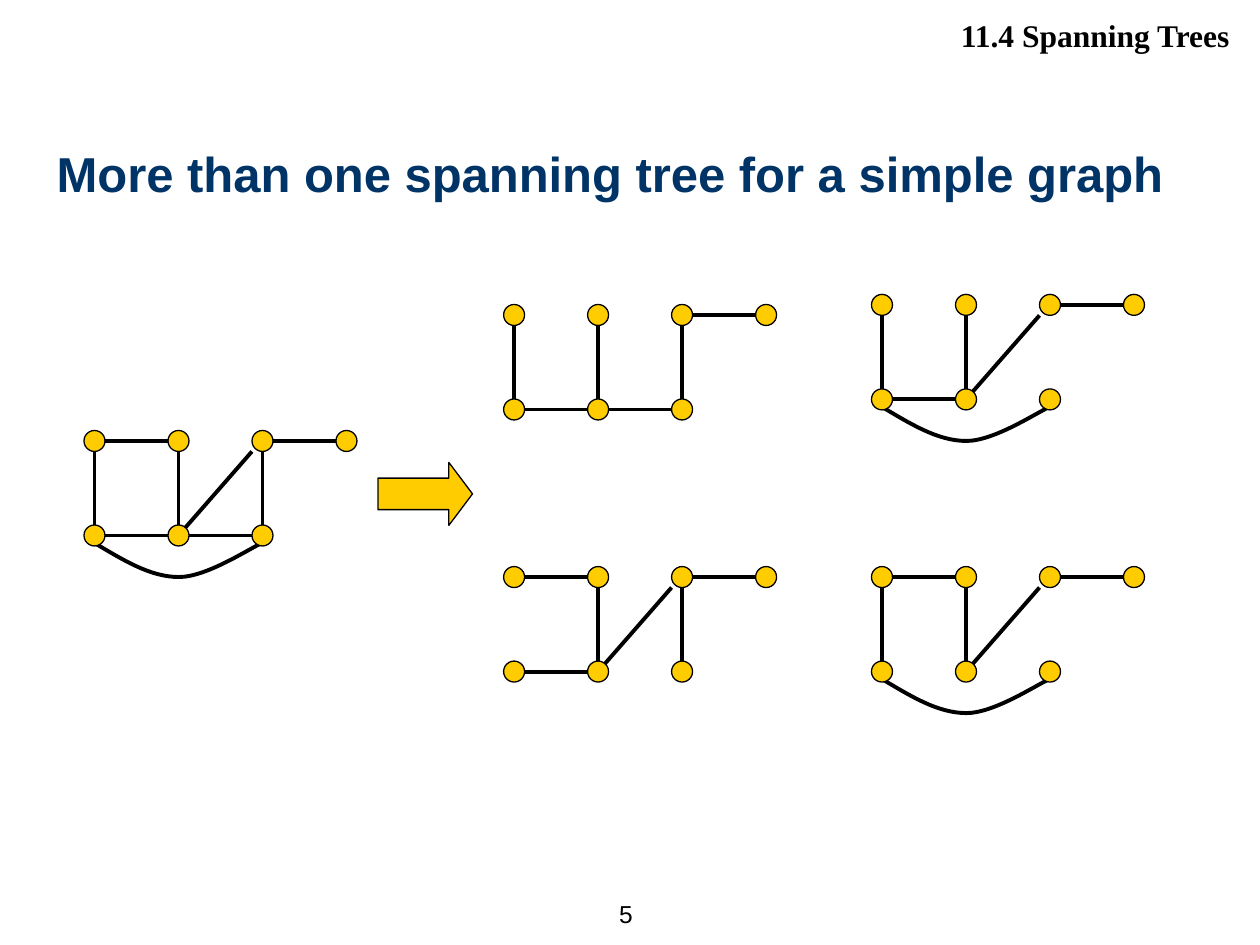
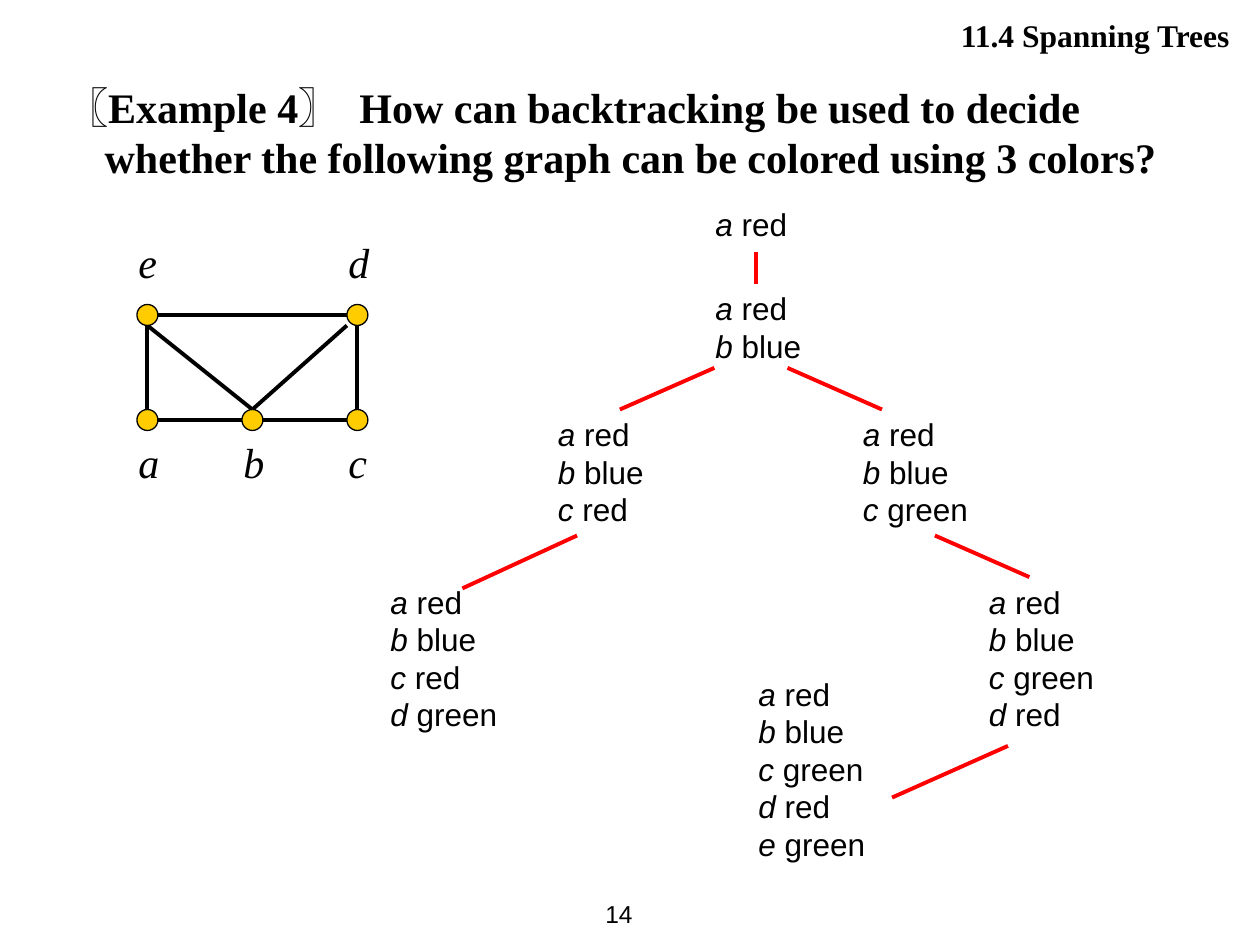
from dataclasses import dataclass

from lxml import etree
from pptx import Presentation
from pptx.dml.color import RGBColor
from pptx.enum.shapes import MSO_CONNECTOR, MSO_SHAPE
from pptx.enum.text import MSO_ANCHOR, MSO_AUTO_SIZE, PP_ALIGN
from pptx.oxml.ns import qn
from pptx.util import Inches, Pt

STRAIGHT = MSO_CONNECTOR.STRAIGHT
ELLIPSE, RIGHT_ARROW = MSO_SHAPE.OVAL, MSO_SHAPE.RIGHT_ARROW
TOP, MIDDLE = MSO_ANCHOR.TOP, MSO_ANCHOR.MIDDLE
LEFT, RIGHT = PP_ALIGN.LEFT, PP_ALIGN.RIGHT
NO_AUTOSIZE = MSO_AUTO_SIZE.NONE


@dataclass(frozen=True)
class Theme:
    black: RGBColor = RGBColor(0, 0, 0)
    navy: RGBColor = RGBColor(0x00, 0x33, 0x66)
    gold: RGBColor = RGBColor(0xFF, 0xCC, 0x00)
    red: RGBColor = RGBColor(0xFF, 0, 0)
    sans: str = "Arial"
    serif: str = "Times New Roman"
    title_size: int = 28
    question_size: int = 24
    label_size: int = 24
    header_size: int = 18
    state_size: int = 18
    number_size: int = 14
    line_height: float = 1.19
    edge_width: float = 2.25
    outline_width: float = 0.75


theme = Theme()


def write_text(shape, paragraphs, font, size, color=theme.black, align=LEFT, anchor=TOP):
    """Fill a shape with paragraphs, each a list of (text, bold, italic) runs."""
    frame = shape.text_frame
    frame.word_wrap = True
    frame.auto_size = NO_AUTOSIZE
    frame.vertical_anchor = anchor
    for index, runs in enumerate(paragraphs):
        paragraph = frame.add_paragraph() if index else frame.paragraphs[0]
        paragraph.alignment = align
        paragraph.line_spacing = Pt(size * theme.line_height)
        paragraph.space_before = Pt(0)
        for text, bold, italic in runs:
            run = paragraph.add_run()
            run.text = text
            run.font.name = font
            run.font.size = Pt(size)
            run.font.bold = bold
            run.font.italic = italic
            run.font.color.rgb = color


def add_line(shapes, start, end, color):
    line = shapes.add_connector(STRAIGHT, *map(Inches, (*start, *end)))
    line.line.color.rgb = color
    line.line.width = Pt(theme.edge_width)
    etree.SubElement(line.element.spPr, qn("a:effectLst"))


presentation = Presentation()
presentation.slide_width, presentation.slide_height = Inches(10), Inches(7.5)
trees_slide = presentation.slides.add_slide(presentation.slide_layouts[5])
coloring_slide = presentation.slides.add_slide(presentation.slide_layouts[1])

# Header and slide number
for slide, number in ((trees_slide, "5"), (coloring_slide, "14")):
    header = slide.shapes.add_textbox(Inches(3.98), Inches(0.08), Inches(5.94), Inches(0.4))
    write_text(header, [[(" 11.4 Spanning Trees ", True, False)]],
               theme.serif, theme.header_size, align=RIGHT)
    footer = slide.shapes.add_textbox(Inches(4.45), Inches(7), Inches(0.67), Inches(0.5))
    write_text(footer, [[(number, False, False)]],
               theme.sans, theme.number_size, align=RIGHT, anchor=MIDDLE)

# Title of the first slide, question of the second
title = trees_slide.shapes.title
title.left, title.top, title.width, title.height = map(Inches, (0.35, 1.07, 9.29, 0.87))
write_text(title, [[("More than one spanning tree for a simple graph", True, False)]],
           theme.sans, theme.title_size, theme.navy)
title.text_frame.margin_top = Inches(0.07)

unused_title = coloring_slide.shapes.title.element
unused_title.getparent().remove(unused_title)
question = coloring_slide.placeholders[1]
question.left, question.top, question.width, question.height = map(Inches, (0.35, 0.6, 9.15, 0.79))
write_text(question, [[
    (" ", False, False),
    ("〖Example 4〗  How can backtracking be used to decide whether the following "
     "graph can be colored using 3 colors?", True, False),
]], theme.serif, theme.question_size)
properties = question.text_frame.paragraphs[0]._p.get_or_add_pPr()
properties.set("marL", str(Inches(0.38)))
properties.set("indent", str(Inches(-0.38)))
etree.SubElement(properties, qn("a:buNone"))

arrow = trees_slide.shapes.add_shape(RIGHT_ARROW, Inches(3), Inches(3.67), Inches(0.75), Inches(0.5))
arrow.adjustments[0], arrow.adjustments[1] = 0.5, 0.375

# Graphs: nodes are (column, row); a diagonal gives its offsets from both node centres in radii
RADIUS = 1 / 12
SIX_NODES = {"A": (0, 0), "B": (1, 0), "C": (2, 0), "D": (3, 0),
             "E": (0, 1), "F": (1, 1), "G": (2, 1)}
FIVE_NODES = {"e": (0, 0), "d": (2, 0), "a": (0, 1), "b": (1, 1), "c": (2, 1)}
SIX_PITCH, FIVE_PITCH = (2 / 3, 3 / 4), (5 / 6, 5 / 6)
FC = [("F", (0, 0), "C", (-1, 1))]
FIVE_DIAGONALS = [("e", (0, 1), "b", (0, -1)), ("b", (0, -1), "d", (-1, 1))]
# Bezier points of the arc from E to G, measured from the centre of E
ARC = [(0, 0.06), (0.22, 0.19), (0.44, 0.33), (0.67, 0.33), (0.89, 0.33),
       (1.22, 0.11), (1.33, 0.06), (1.44, 0), (1.39, 0), (1.33, 0)]

graphs = [
    (trees_slide, (0.75, 3.5), SIX_PITCH, SIX_NODES, "AB CD AE EF FG BF CG", FC, True),
    (trees_slide, (4.08, 2.5), SIX_PITCH, SIX_NODES, "CD AE EF FG BF CG", [], False),
    (trees_slide, (7, 2.42), SIX_PITCH, SIX_NODES, "CD AE EF BF", FC, True),
    (trees_slide, (4.08, 4.58), SIX_PITCH, SIX_NODES, "AB CD EF BF CG", FC, False),
    (trees_slide, (7, 4.58), SIX_PITCH, SIX_NODES, "AB CD AE BF", FC, True),
    (coloring_slide, (1.17, 2.5), FIVE_PITCH, FIVE_NODES, "ea ab bc dc ed", FIVE_DIAGONALS, False),
]
gold_shapes = [arrow]
for slide, (left, top), (pitch_x, pitch_y), nodes, edges, diagonals, has_arc in graphs:
    shapes = slide.shapes.add_group_shape().shapes
    centres = {name: (left + column * pitch_x, top + row * pitch_y)
               for name, (column, row) in nodes.items()}
    links = list(diagonals)
    for first, second in edges.split():
        step = (1, 0) if nodes[first][1] == nodes[second][1] else (0, 1)
        links.append((first, step, second, (-step[0], -step[1])))
    for first, first_offset, second, second_offset in links:
        start = [c + RADIUS * o for c, o in zip(centres[first], first_offset)]
        end = [c + RADIUS * o for c, o in zip(centres[second], second_offset)]
        add_line(shapes, start, end, theme.black)

    if has_arc:
        arc_left, arc_top = centres["E"]
        points = [(Inches(arc_left + x), Inches(arc_top + y)) for x, y in ARC]
        builder = shapes.build_freeform(*points[0])
        builder.add_line_segments(points[1:], close=False)
        arc = builder.convert_to_shape()
        arc.shadow.inherit = False
        arc.fill.background()
        arc.line.color.rgb = theme.black
        arc.line.width = Pt(theme.edge_width)
        segments = list(arc.element.iter(qn("a:lnTo")))
        outline = segments[0].getparent()
        for index, segment in enumerate(segments):
            if index % 3 == 0:
                curve = etree.SubElement(outline, qn("a:cubicBezTo"))
            curve.append(segment[0])
            outline.remove(segment)

    for name, (x, y) in centres.items():
        gold_shapes.append(shapes.add_shape(
            ELLIPSE, Inches(x - RADIUS), Inches(y - RADIUS), Inches(2 * RADIUS), Inches(2 * RADIUS)))
        if nodes is FIVE_NODES:
            label_top = 3.42 if nodes[name][1] else 1.83
            label = shapes.add_textbox(Inches(x - 0.17), Inches(label_top), Inches(0.42), Inches(0.5))
            write_text(label, [[(name, False, True)]], theme.serif, theme.label_size)

for shape in gold_shapes:
    shape.shadow.inherit = False
    shape.fill.solid()
    shape.fill.fore_color.rgb = theme.gold
    shape.line.color.rgb = theme.black
    shape.line.width = Pt(theme.outline_width)

# Backtracking tree: each state lists the colors given to a, b, c, ... so far
states = [
    (5.58, 1.58, 0.83, "red"),
    (5.58, 2.25, 1.08, "red blue"),
    (4.33, 3.25, 1.08, "red blue red"),
    (3, 4.58, 1.25, "red blue red green"),
    (6.75, 3.25, 1.25, "red blue green"),
    (7.75, 4.58, 1.25, "red blue green red"),
    (5.92, 5.31, 1.25, "red blue green red green"),
]
for left, top, width, colors in states:
    paragraphs = [[(vertex, False, True), (f" {color}", False, False)]
                  for vertex, color in zip("abcde", colors.split())]
    state = coloring_slide.shapes.add_textbox(
        Inches(left), Inches(top), Inches(width), Inches(0.1 + 0.3 * len(paragraphs)))
    write_text(state, paragraphs, theme.sans, theme.state_size)

branches = [
    ((6, 2), (6, 2.25)),
    ((5.67, 2.92), (4.92, 3.25)),
    ((6.25, 2.92), (7, 3.25)),
    ((4.58, 4.25), (3.67, 4.67)),
    ((7.42, 4.25), (8.17, 4.58)),
    ((8, 5.92), (7.08, 6.33)),
]
for start, end in branches:
    add_line(coloring_slide.shapes, start, end, theme.red)

presentation.save("out.pptx")
